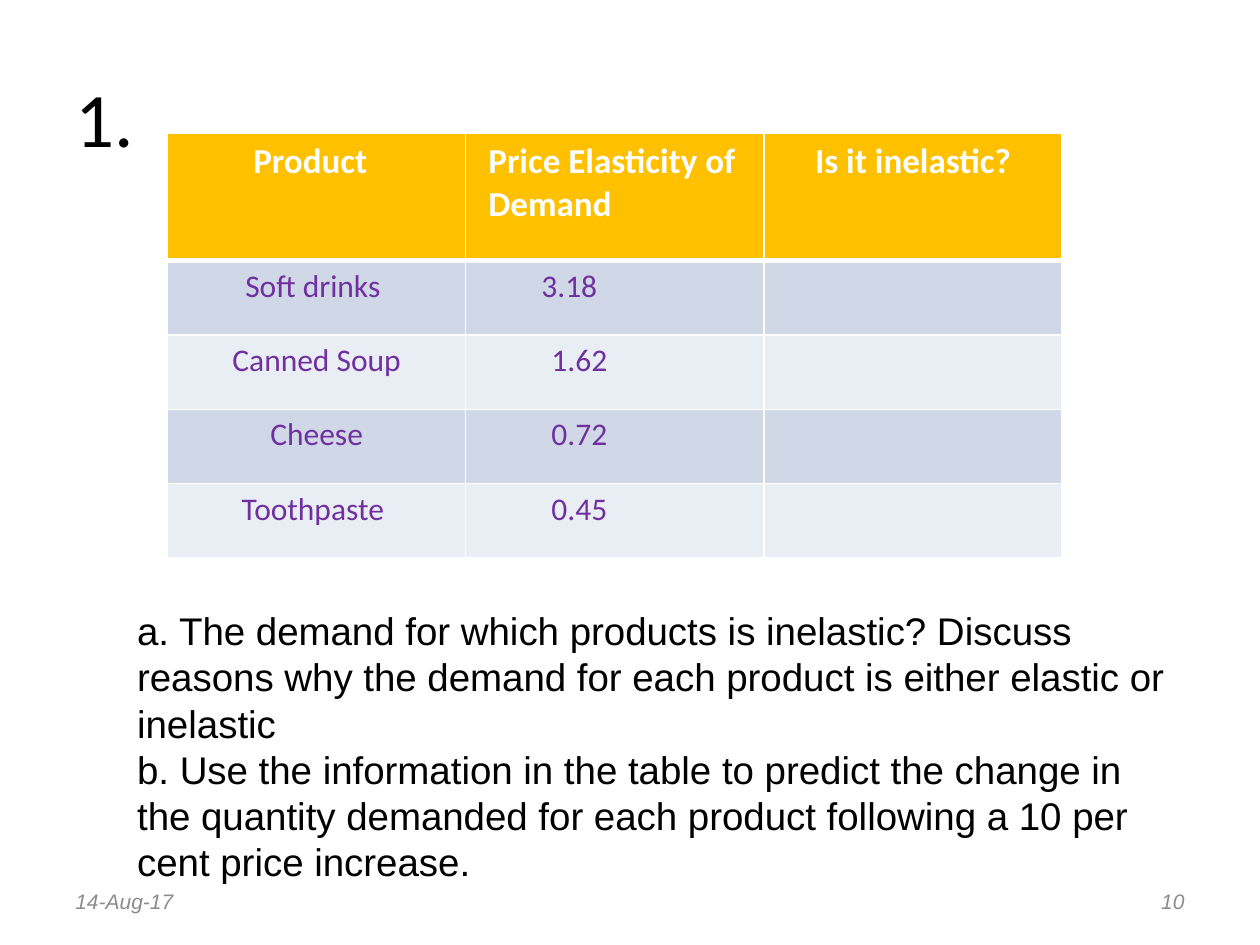
from dataclasses import dataclass

from lxml.etree import SubElement
from pptx import Presentation
from pptx.dml.color import RGBColor
from pptx.enum.text import MSO_ANCHOR as Anchor, PP_ALIGN as Align
from pptx.oxml.ns import qn
from pptx.util import Inches, Pt

SLIDE_W, SLIDE_H = 10, 7.5


@dataclass(frozen=True)
class Theme:
    heading_font: str = "Calibri"
    body_font: str = "Arial"
    ink: str = "000000"
    muted: str = "8C8C8C"
    white: str = "FFFFFF"
    header_fill: str = "FFC000"
    entry: str = "7030A0"
    bands: tuple[str, str] = ("D0D8E8", "E9EDF4")
    title_size: int = 44
    question_size: int = 22
    header_size: int = 20
    entry_size: int = 18
    footer_size: int = 12


THEME = Theme()


@dataclass(frozen=True)
class Entry:
    text: str = ""
    align: Align = Align.CENTER
    left: float = 0.1
    right: float = 0.1


@dataclass(frozen=True)
class TextBlock:
    """Text lines in a box given as shares of the slide's size."""
    lines: tuple[str, ...]
    x: float
    y: float
    w: float
    h: float
    font: dict
    align: Align = Align.LEFT
    anchor: Anchor = Anchor.MIDDLE


def font_format(name: str, size: int, color: str, **extra) -> dict:
    return {"name": name, "size": Pt(size), "color": color, **extra}


def apply_font(font, values: dict) -> None:
    for key, value in values.items():
        if key == "color":
            font.color.rgb = RGBColor.from_string(value)
        else:
            setattr(font, key, value)


def price(value: str, left: float = 0.68) -> Entry:
    return Entry(value, Align.LEFT, left)


ROWS = (
    (Entry("Product", right=0.2),
     Entry("Price Elasticity of Demand", Align.LEFT, 0.18),
     Entry("Is it inelastic?")),
    (Entry("Soft drinks", right=0.16), price("3.18", 0.6), Entry()),
    (Entry("Canned Soup"), price("1.62"), Entry()),
    (Entry("Cheese"), price("0.72"), Entry()),
    (Entry("Toothpaste", right=0.16), price("0.45"), Entry()),
)
TABLE_W, HEADER_H, ROW_H = 7.1, 1.01, 0.59

FOOTER_FONT = font_format(THEME.body_font, THEME.footer_size, THEME.muted, italic=True)
BLOCKS = (
    TextBlock(
        ("a. The demand for which products is inelastic? Discuss reasons why "
         "the demand for each product is either elastic or inelastic",
         "b. Use the information in the table to predict the change in the "
         "quantity demanded for each product following a 10 per cent price increase."),
        0.099, 0.636, 0.837, 0.31,
        font_format(THEME.body_font, THEME.question_size, THEME.ink),
        anchor=Anchor.TOP),
    TextBlock(("1.",), 0.05, 0.04, 0.9, 0.167,
              font_format(THEME.heading_font, THEME.title_size, THEME.ink)),
    TextBlock(("14-Aug-17",), 0.05, 0.927, 0.233, 0.053, FOOTER_FONT),
    TextBlock(("10",), 0.717, 0.927, 0.233, 0.053, FOOTER_FONT, Align.RIGHT),
)


def add_borders(cell, bottom: float) -> None:
    properties = cell._tc.get_or_add_tcPr()
    for side, width in (("L", 1), ("R", 1), ("T", 1), ("B", bottom)):
        line = SubElement(properties, qn(f"a:ln{side}"), w=str(Pt(width)))
        fill = SubElement(line, qn("a:solidFill"))
        SubElement(fill, qn("a:srgbClr"), val=THEME.white)


def fill_cell(cell, entry: Entry, row: int) -> None:
    is_header = row == 0
    add_borders(cell, 3 if is_header else 1)
    cell.fill.solid()
    cell.fill.fore_color.rgb = RGBColor.from_string(
        THEME.header_fill if is_header else THEME.bands[(row - 1) % 2])
    cell.margin_left, cell.margin_right = Inches(entry.left), Inches(entry.right)
    paragraph = cell.text_frame.paragraphs[0]
    paragraph.text, paragraph.alignment = entry.text, entry.align
    apply_font(paragraph.font, font_format(
        THEME.heading_font,
        THEME.header_size if is_header else THEME.entry_size,
        THEME.white if is_header else THEME.entry,
        bold=is_header))


def add_elasticity_table(slide) -> None:
    columns = len(ROWS[0])
    height = HEADER_H + ROW_H * (len(ROWS) - 1)
    table = slide.shapes.add_table(
        len(ROWS), columns, Inches(1.33), Inches(1.06),
        Inches(TABLE_W), Inches(height)).table
    for column in table.columns:
        column.width = Inches(TABLE_W / columns)
    for index, entries in enumerate(ROWS):
        table.rows[index].height = Inches(ROW_H if index else HEADER_H)
        for column, entry in enumerate(entries):
            fill_cell(table.cell(index, column), entry, index)


def add_text(slide, block: TextBlock) -> None:
    frame = slide.shapes.add_textbox(
        Inches(block.x * SLIDE_W), Inches(block.y * SLIDE_H),
        Inches(block.w * SLIDE_W), Inches(block.h * SLIDE_H)).text_frame
    frame.word_wrap, frame.vertical_anchor = True, block.anchor
    for index, line in enumerate(block.lines):
        paragraph = frame.add_paragraph() if index else frame.paragraphs[0]
        paragraph.text, paragraph.alignment = line, block.align
        apply_font(paragraph.font, block.font)


def main() -> None:
    deck = Presentation()
    deck.slide_width, deck.slide_height = Inches(SLIDE_W), Inches(SLIDE_H)
    slide = deck.slides.add_slide(deck.slide_layouts[6])
    add_elasticity_table(slide)
    for block in BLOCKS:
        add_text(slide, block)
    deck.save("out.pptx")


if __name__ == "__main__":
    main()
